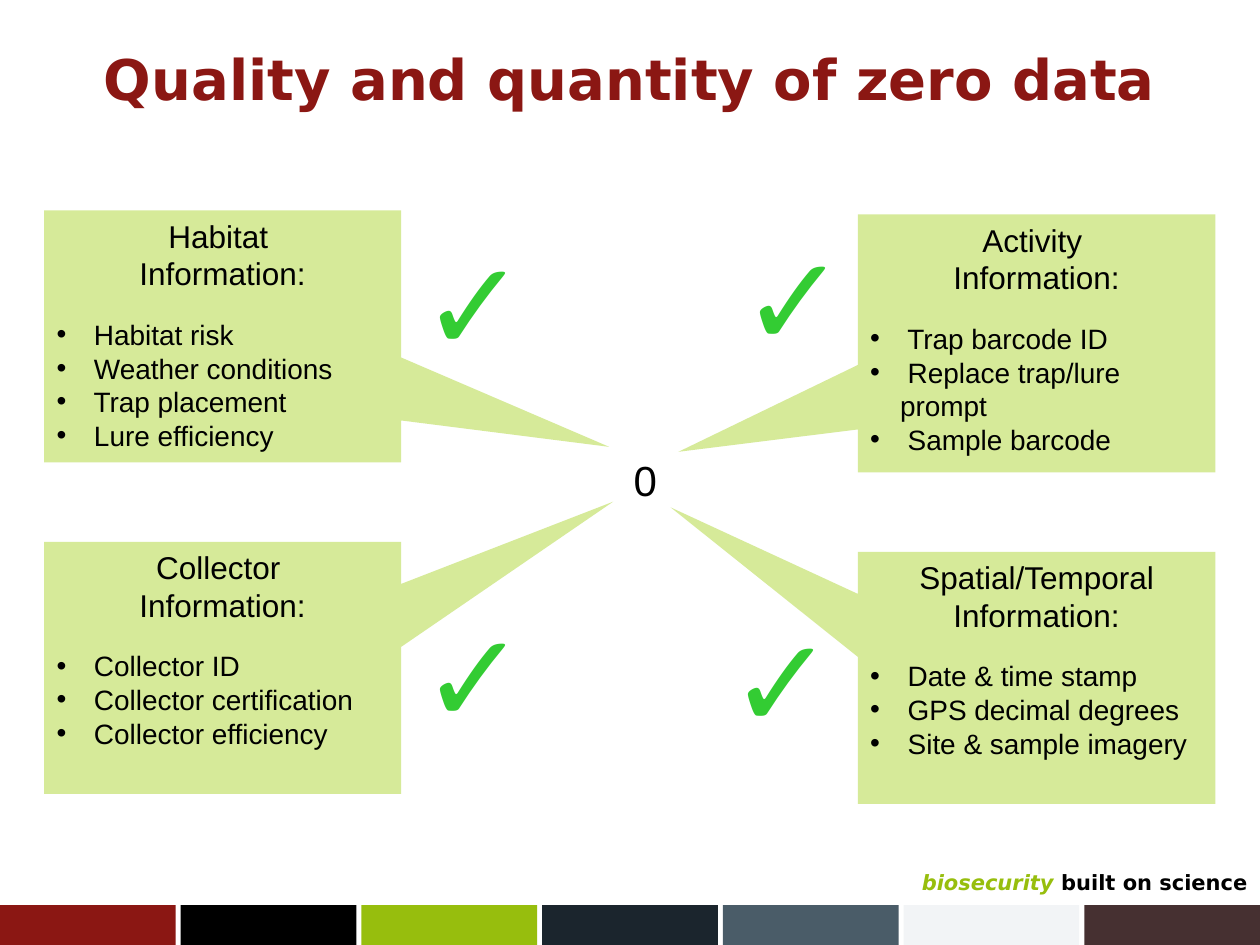
from dataclasses import dataclass

from lxml.etree import SubElement
from pptx import Presentation
from pptx.dml.color import RGBColor
from pptx.enum.shapes import MSO_SHAPE as Shape
from pptx.enum.text import MSO_ANCHOR as Anchor, PP_ALIGN as Align
from pptx.oxml.ns import qn
from pptx.util import Pt


@dataclass(frozen=True)
class Theme:
    font: str = "Arial"
    display: str = "DejaVu Sans"
    ink: str = "000000"
    red: str = "8B1713"
    lime: str = "97BE0D"
    callout: str = "99CC00"
    callout_alpha: int = 40
    tick: str = "33CC33"
    bars: tuple = ("8B1713", "000000", "97BE0D", "1B252D",
                   "4A5C68", "F2F4F6", "463031")
    title_size: int = 32
    heading_size: int = 18
    item_size: int = 16
    zero_size: int = 24
    tick_size: int = 72
    motto_size: int = 12
    leading: float = 1.2


THEME = Theme()

# box, pointer tip as a share of the box from its centre, heading, items
CALLOUTS = [
    ((25.2, 120.3, 204, 144), (1.083, 0.438), "Habitat \vInformation:",
     ["Habitat risk", "Weather conditions", "Trap placement", "Lure efficiency"]),
    ((490.2, 315.4, 204.3, 144), (-1.024, -0.677), "Spatial/Temporal Information:",
     ["Date & time stamp", "GPS decimal degrees", "Site & sample imagery"]),
    ((25.2, 309.7, 204, 144), (1.094, -0.66), "Collector \vInformation:",
     ["Collector ID", "Collector certification", "Collector efficiency"]),
    ((490.2, 122.6, 204.3, 147.4), (-1.002, 0.42), "Activity \vInformation:",
     ["Trap barcode ID", "Replace trap/lure prompt", "Sample barcode"]),
]

TICKS = [(234, 125.3), (234, 337.7), (416.9, 122.4), (409.7, 340.6)]


def style(p, size, color=THEME.ink, font=THEME.font, bold=False, align=Align.LEFT):
    p.alignment = align
    p.line_spacing = Pt(size * THEME.leading)
    for r in p.runs:
        r.font.size = Pt(size)
        r.font.name = font
        r.font.bold = bold
        r.font.color.rgb = RGBColor.from_string(color)


def add_filled(s, kind, box, color):
    sp = s.shapes.add_shape(kind, *map(Pt, box))
    sp.shadow.inherit = False
    sp.fill.solid()
    sp.fill.fore_color.rgb = RGBColor.from_string(color)
    sp.line.fill.background()
    return sp


def add_label(s, box, text, size, wrap=True, **look):
    tf = s.shapes.add_textbox(*map(Pt, box)).text_frame
    tf.word_wrap = wrap
    tf.text = text
    style(tf.paragraphs[0], size, **look)
    return tf


def add_bullet(p, indent=17):
    pPr = p._p.get_or_add_pPr()
    pPr.set("marL", str(Pt(indent)))
    pPr.set("indent", str(-Pt(indent)))
    SubElement(pPr, qn("a:buFont"), typeface=THEME.font)
    SubElement(pPr, qn("a:buChar"), char="•")


def add_callout(s, box, tip, heading, items):
    sp = add_filled(s, Shape.RECTANGULAR_CALLOUT, box, THEME.callout)
    fill_color = sp.fill._xPr.find(qn("a:solidFill"))[0]
    SubElement(fill_color, qn("a:alpha"), val=str(THEME.callout_alpha * 1000))
    sp.adjustments[0], sp.adjustments[1] = tip

    tf = sp.text_frame
    tf.word_wrap = True
    tf.vertical_anchor = Anchor.TOP
    tf.text = heading
    p = tf.paragraphs[0]
    style(p, THEME.heading_size, align=Align.CENTER)
    p.space_after = Pt(14.4)
    for item in items:
        p = tf.add_paragraph()
        p.text = f" {item}"
        style(p, THEME.item_size)
        add_bullet(p)


def add_footer(s, left, top, width, height):
    """Motto at the right, above a row of coloured bars."""
    bar_height, gap = 22.8, 2.9
    bar_top = top + height - bar_height
    pitch = (width + gap) / len(THEME.bars)
    for i, color in enumerate(THEME.bars):
        bar = (left + i * pitch, bar_top, pitch - gap, bar_height)
        add_filled(s, Shape.RECTANGLE, bar, color)

    motto_width = 207.4
    tf = add_label(s, (left + width - motto_width, top, motto_width, 28.8),
                   "biosecurity ", THEME.motto_size, color=THEME.lime,
                   font=THEME.display, bold=True, align=Align.RIGHT)
    tf.vertical_anchor = Anchor.MIDDLE
    p = tf.paragraphs[0]
    p.add_run().text = "built on science"
    style(p, THEME.motto_size, font=THEME.display, bold=True, align=Align.RIGHT)
    name = p.runs[0].font
    name.italic = True
    name.color.rgb = RGBColor.from_string(THEME.lime)


def main():
    prs = Presentation()
    prs.slide_width, prs.slide_height = Pt(720), Pt(540)
    s = prs.slides.add_slide(prs.slide_layouts[6])

    add_footer(s, 0, 489.6, 720, 50.4)
    add_label(s, (36, 21.6, 648, 90), "Quality and quantity of zero data",
              THEME.title_size, color=THEME.red, font=THEME.display,
              bold=True, align=Align.CENTER)
    for callout in CALLOUTS:
        add_callout(s, *callout)
    add_label(s, (355, 256.3, 27.4, 36), "0", THEME.zero_size, wrap=False)
    for left, top in TICKS:
        add_label(s, (left, top, 74.2, 93.6), "✓", THEME.tick_size,
                  wrap=False, color=THEME.tick)

    prs.save("out.pptx")


if __name__ == "__main__":
    main()
